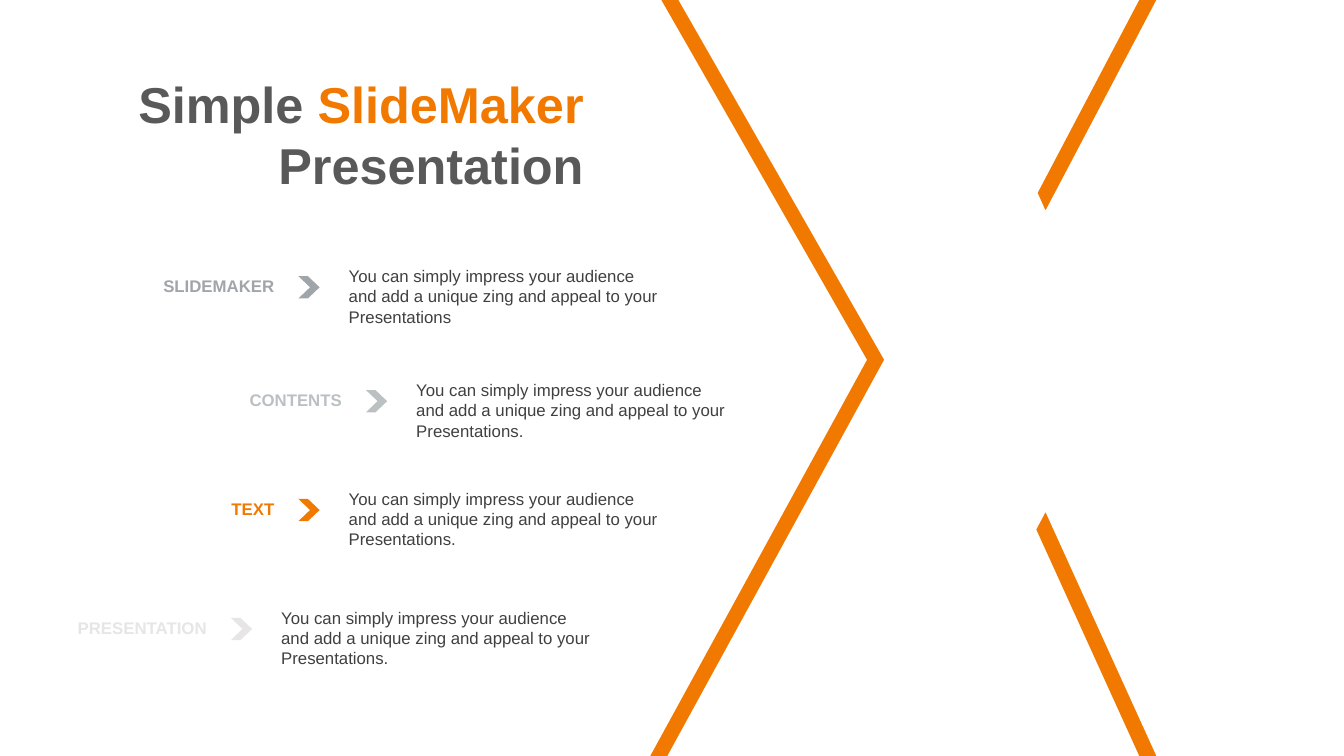
from pptx import Presentation
from pptx.dml.color import RGBColor
from pptx.enum.shapes import MSO_SHAPE
from pptx.enum.text import MSO_ANCHOR, MSO_AUTO_SIZE, PP_ALIGN
from pptx.util import Inches, Pt

ORANGE, WHITE, DARK_GRAY, TEXT_GRAY = "F27900", "FFFFFF", "595959", "404040"
TITLE = [("Simple ", DARK_GRAY), ("SlideMaker ", ORANGE), ("Presentation", DARK_GRAY)]
DESCRIPTION = "You can simply impress your audience and add a unique zing and appeal to your Presentations"
ROWS = [
    ("SLIDEMAKER", DESCRIPTION, "A0A5AA", 1.16, 2.59),
    ("CONTENTS", DESCRIPTION + ".", "BBC0C3", 1.83, 3.72),
    ("TEXT", DESCRIPTION + ".", ORANGE, 1.16, 4.8),
    ("PRESENTATION", DESCRIPTION + ".", "E7E5E6", 0.49, 5.98),
]
BAND_OUTLINE = [
    (6.56, 0), (9.26, 0), (10.2, 2.09), (11.3, 0), (12.99, 0), (12.99, 1.44), (11.78, 3.57),
    (12.99, 5.76), (12.99, 7.5), (11.3, 7.5), (10.2, 5.08), (8.91, 7.5), (6.45, 7.5), (8.6, 3.57),
]
BANDS = [(0, ORANGE), (0.17, WHITE)]


def color(value):
    return RGBColor.from_string(value)


def paint(shape, fill):
    shape.shadow.inherit = False
    shape.fill.solid()
    shape.fill.fore_color.rgb = color(fill)
    shape.line.fill.background()


def add_band(slide, offset, fill):
    points = [(Inches(x + offset), Inches(y)) for x, y in BAND_OUTLINE]
    builder = slide.shapes.build_freeform(*points[0])
    builder.add_line_segments(points[1:], close=True)
    paint(builder.convert_to_shape(), fill)


def add_text(slide, text, left, top, width, height, text_color, bold=False, align=PP_ALIGN.LEFT):
    box = slide.shapes.add_textbox(Inches(left), Inches(top), Inches(width), Inches(height))
    box.text_frame.word_wrap = True
    paragraph = box.text_frame.paragraphs[0]
    paragraph.text = text
    paragraph.alignment = align
    paragraph.font.name = "Arial"
    paragraph.font.size = Pt(12)
    paragraph.font.bold = bold
    paragraph.font.color.rgb = color(text_color)


def add_row(slide, label, description, accent, left, top):
    add_text(slide, label, left, top + 0.1, 1.66, 0.31, accent, True, PP_ALIGN.RIGHT)
    add_text(slide, description, left + 2.2, top, 3.29, 0.71, TEXT_GRAY)
    chevron = slide.shapes.add_shape(
        MSO_SHAPE.CHEVRON, Inches(left + 1.8), Inches(top + 0.15), Inches(0.21), Inches(0.22))
    chevron.adjustments[0] = 0.55
    paint(chevron, accent)


def add_title(slide):
    title = slide.shapes.title
    title.left, title.top, title.width, title.height = map(Inches, (0.59, 0.68, 5.3, 1.31))
    frame = title.text_frame
    frame.word_wrap = True
    frame.auto_size = MSO_AUTO_SIZE.NONE
    frame.vertical_anchor = MSO_ANCHOR.TOP
    paragraph = frame.paragraphs[0]
    paragraph.alignment = PP_ALIGN.RIGHT
    paragraph.font.name = "Arial"
    paragraph.font.size = Pt(36)
    paragraph.font.bold = True
    for text, text_color in TITLE:
        run = paragraph.add_run()
        run.text = text
        run.font.color.rgb = color(text_color)


def main():
    presentation = Presentation()
    presentation.slide_width = Inches(13.33)
    presentation.slide_height = Inches(7.5)
    slide = presentation.slides.add_slide(presentation.slide_layouts[5])
    for band in BANDS:
        add_band(slide, *band)
    for row in ROWS:
        add_row(slide, *row)
    add_title(slide)
    presentation.save("out.pptx")


if __name__ == "__main__":
    main()
